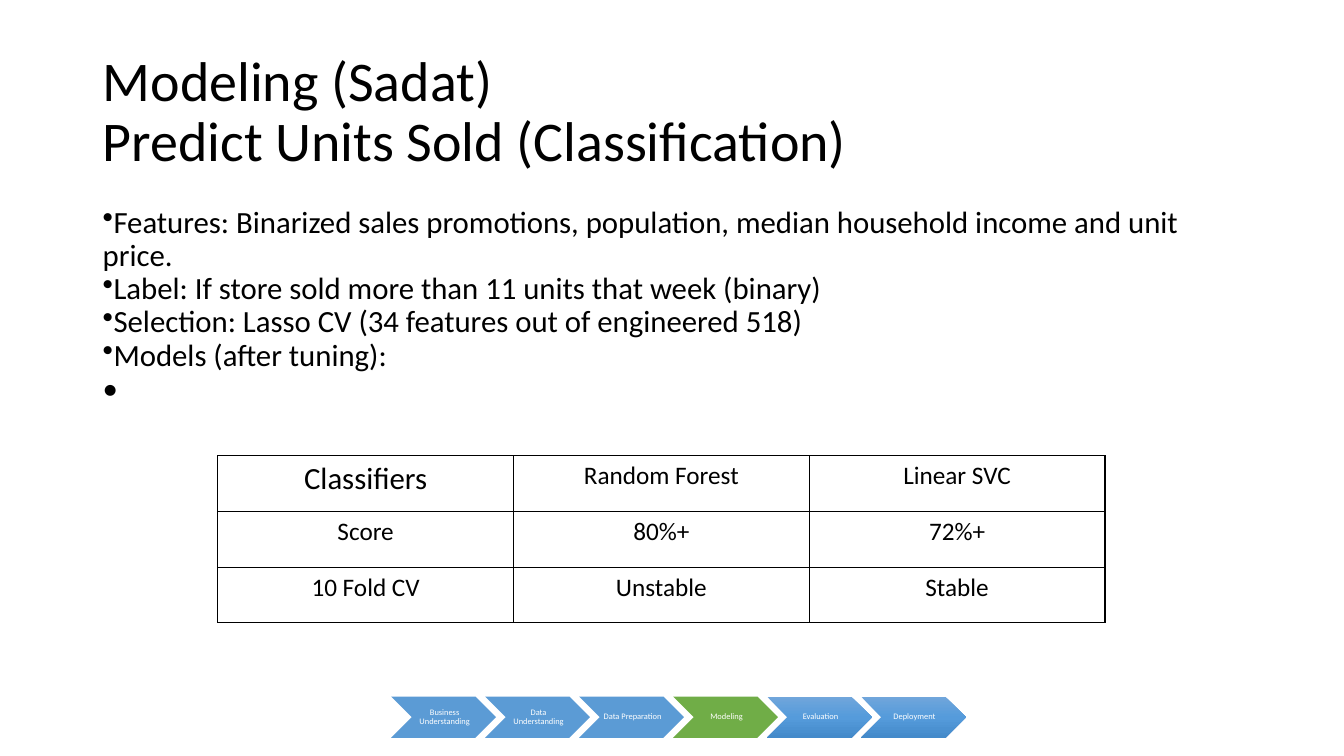
from pptx import Presentation
from pptx.dml.color import RGBColor
from pptx.enum.shapes import MSO_SHAPE
from pptx.enum.text import MSO_ANCHOR, PP_ALIGN
from pptx.oxml import parse_xml
from pptx.oxml.ns import nsdecls
from pptx.util import Inches, Pt
from copy import deepcopy

CHEVRON = MSO_SHAPE.CHEVRON
MIDDLE = MSO_ANCHOR.MIDDLE
CENTER = PP_ALIGN.CENTER
BLACK, WHITE, BLUE, GREEN = "000000", "FFFFFF", "5B9BD5", "70AD47"
SHADES = ["71A6DB", "559BDB", "448ACA"]


def paint(color, code):
    color.rgb = RGBColor.from_string(code)


def write(para, text, size, code=BLACK):
    """Add one run of Calibri text to a paragraph."""
    run = para.add_run()
    run.text = text
    run.font.name = "Calibri"
    run.font.size = Pt(size)
    paint(run.font.color, code)


prs = Presentation()
prs.slide_width, prs.slide_height = Inches(13.33), Inches(7.5)
slide = prs.slides.add_slide(prs.slide_layouts[6])
shapes = slide.shapes

# Title
title = shapes.add_textbox(Inches(0.92), Inches(0.4), Inches(11.5), Inches(1.45))
frame = title.text_frame
frame.word_wrap = True
frame.vertical_anchor = MIDDLE
para = frame.paragraphs[0]
para.line_spacing = 0.9
write(para, "Modeling (Sadat)", 40)
para.add_line_break()
write(para, "Predict Units Sold (Classification)", 40)

# Bullet list, closed by a lone bullet sign
points = [
    "Features: Binarized sales promotions, population, median household income and unit price.",
    "Label: If store sold more than 11 units that week (binary)",
    "Selection: Lasso CV (34 features out of engineered 518)",
    "Models (after tuning):",
    "•",
]
body = shapes.add_textbox(Inches(0.92), Inches(2), Inches(11.5), Inches(4.76))
frame = body.text_frame
frame.word_wrap = True
for i, point in enumerate(points):
    para = frame.add_paragraph() if i else frame.paragraphs[0]
    para.line_spacing = 0.9
    write(para, point, 22)
    if point != "•":
        mark = parse_xml(f'<a:buChar {nsdecls("a")} char="•"/>')
        para._p.get_or_add_pPr().append(mark)

# Table of results
rows = [
    ["Classifiers", "Random Forest", "Linear SVC"],
    ["Score", "80%+", "72%+"],
    ["10 Fold CV", "Unstable", "Stable"],
]
table = shapes.add_table(3, 3, Inches(2.16), Inches(4.52), Inches(8.8), Inches(1.66)).table
table.first_row = table.horz_banding = False
for r, row in enumerate(rows):
    for c, text in enumerate(row):
        cell = table.cell(r, c)
        cell.fill.background()
        para = cell.text_frame.paragraphs[0]
        para.alignment = CENTER
        write(para, text, 22 if r == c == 0 else 18)
        for i, side in enumerate("LRTB"):
            edge = parse_xml(
                f'<a:ln{side} {nsdecls("a")} w="12700"><a:solidFill>'
                f'<a:srgbClr val="{BLACK}"/></a:solidFill></a:ln{side}>')
            cell._tc.get_or_add_tcPr().insert(i, edge)

# Process steps: done in blue, current in green, still to come shaded
steps = ["Business Understanding", "Data Understanding", "Data Preparation",
         "Modeling", "Evaluation", "Deployment"]
now = steps.index("Modeling")
for i, step in enumerate(steps):
    arrow = shapes.add_shape(CHEVRON, Inches(3.88 + 0.932 * i), Inches(6.91),
                             Inches(1.04), Inches(0.41))
    arrow.shadow.inherit = False
    arrow.line.fill.background()
    fill = arrow.fill
    if i <= now:
        fill.solid()
        paint(fill.fore_color, GREEN if i == now else BLUE)
    else:
        fill.gradient()
        fill.gradient_angle = 270
        stops = fill._fill._gradFill.gsLst
        stops.append(deepcopy(stops[-1]))
        for k, stop in enumerate(fill.gradient_stops):
            stop.position = k / 2
            paint(stop.color, SHADES[k])
    frame = arrow.text_frame
    frame.word_wrap = True
    frame.vertical_anchor = MIDDLE
    frame.margin_left = Inches(0.03)
    frame.margin_top = frame.margin_right = frame.margin_bottom = Inches(0.01)
    para = frame.paragraphs[0]
    para.alignment = CENTER
    para.line_spacing = 0.9
    write(para, step, 6, WHITE)

prs.save("out.pptx")
